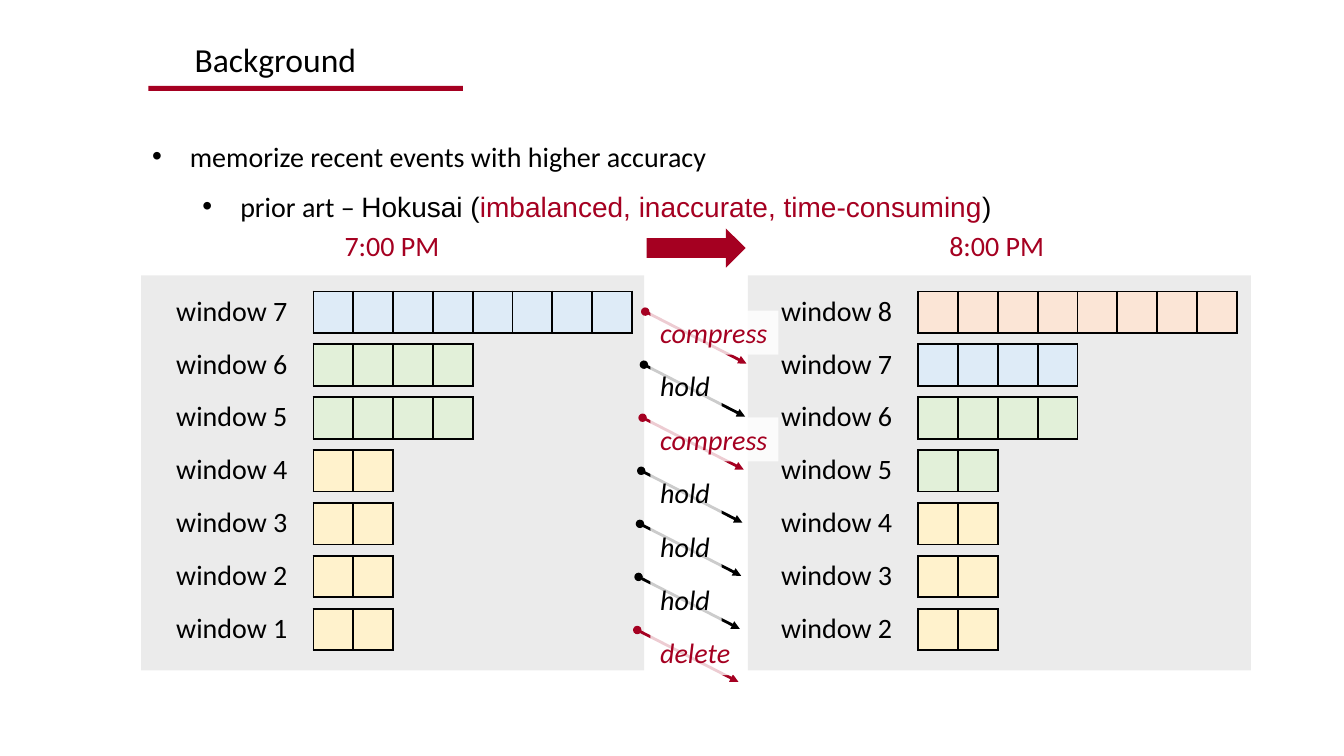
from lxml import etree
from pptx import Presentation
from pptx.dml.color import RGBColor
from pptx.enum.shapes import MSO_CONNECTOR, MSO_SHAPE
from pptx.enum.text import MSO_ANCHOR, MSO_AUTO_SIZE, PP_ALIGN
from pptx.oxml.ns import qn
from pptx.util import Pt

RECT, RIGHT_ARROW = MSO_SHAPE.RECTANGLE, MSO_SHAPE.RIGHT_ARROW
STRAIGHT = MSO_CONNECTOR.STRAIGHT
TOP, MIDDLE = MSO_ANCHOR.TOP, MSO_ANCHOR.MIDDLE
NO_FIT, FIT_SHAPE = MSO_AUTO_SIZE.NONE, MSO_AUTO_SIZE.SHAPE_TO_FIT_TEXT
LEFT, JUSTIFY = PP_ALIGN.LEFT, PP_ALIGN.JUSTIFY

COLORS = {
    "black": "000000", "white": "FFFFFF", "red": "A50021", "panel": "BFBFBF",
    "blue": "DEEBF7", "green": "E2F0D9", "yellow": "FFF2CC", "orange": "FBE5D6",
}
CELL_W, CELL_H = 28.44, 29.5
ROW_PITCH, ARROW_PITCH, ACTION_PITCH = 37.8, 37.9, 38.15
LABEL_H = 31.5
CELL_COUNTS = [8, 4, 4, 2, 2, 2, 2]
PANELS = [
    (100.8, 118.8, 7, "7:00 PM",
     ["blue", "green", "green", "yellow", "yellow", "yellow", "yellow"]),
    (534.2, 550.8, 8, "8:00 PM",
     ["orange", "blue", "green", "green", "yellow", "yellow", "yellow"]),
]
ACTIONS = ["compress", "hold", "compress", "hold", "hold", "hold", "delete"]
ACTION_STYLES = {"compress": (91.5, "red"), "hold": (51, "black"),
                 "delete": (64.8, "red")}


def rgb(name):
    return RGBColor.from_string(COLORS[name])


def box(*lengths):
    return [Pt(v) for v in lengths]


def add_run(p, text, color="black", size=20, font="Calibri", italic=False):
    r = p.add_run()
    r.text = text
    r.font.name = font
    r.font.size = Pt(size)
    r.font.italic = italic
    r.font.color.rgb = rgb(color)


def add_block(s, kind, x, y, w, h, color, opacity=100):
    sp = s.shapes.add_shape(kind, *box(x, y, w, h))
    sp.shadow.inherit = False
    sp.fill.solid()
    sp.fill.fore_color.rgb = rgb(color)
    if opacity < 100:
        clr = sp._element.spPr.find(qn("a:solidFill")).find(qn("a:srgbClr"))
        etree.SubElement(clr, qn("a:alpha")).set("val", str(opacity * 1000))
    sp.line.fill.background()
    return sp


def set_label(sp, text, color="black", italic=False):
    tf = sp.text_frame
    tf.word_wrap = False
    tf.auto_size = FIT_SHAPE
    tf.vertical_anchor = TOP
    p = tf.paragraphs[0]
    p.alignment = LEFT
    add_run(p, text, color, italic=italic)


def add_label(s, x, y, w, text, color="black"):
    set_label(s.shapes.add_textbox(*box(x, y, w, LABEL_H)), text, color)


def add_title(s, text):
    sp = s.shapes.title
    sp.left, sp.top, sp.width, sp.height = box(131.8, 24.5, 517, 36)
    tf = sp.text_frame
    tf.auto_size = NO_FIT
    tf.vertical_anchor = MIDDLE
    p = tf.paragraphs[0]
    p.alignment = LEFT
    add_run(p, text, size=24)


def add_bullet(p, level, indent, runs):
    p.level = level
    p.alignment = JUSTIFY
    p.space_after = Pt(12)
    pPr = p._p.get_or_add_pPr()
    pPr.set("marL", str(Pt(indent)))
    pPr.set("indent", str(Pt(-27)))
    etree.SubElement(pPr, qn("a:buFont")).set("typeface", "Arial")
    etree.SubElement(pPr, qn("a:buChar")).set("char", "•")
    for text, color, font in runs:
        add_run(p, text, color, font=font)


def add_bullets(s):
    tf = s.shapes.add_textbox(*box(65.5, 95.8, 779, 67.7)).text_frame
    tf.word_wrap = True
    add_bullet(tf.paragraphs[0], 1, 63, [
        ("memorize recent events with higher accuracy", "black", "Calibri")])
    add_bullet(tf.add_paragraph(), 2, 99, [
        ("prior art – ", "black", "Calibri"),
        ("Hokusai (", "black", "Arial"),
        ("imbalanced, inaccurate, time-consuming", "red", "Arial"),
        (")", "black", "Arial")])


def add_cell_borders(cell):
    tcPr = cell._tc.get_or_add_tcPr()
    for side in ("lnL", "lnR", "lnT", "lnB"):
        ln = etree.SubElement(tcPr, qn(f"a:{side}"), w=str(Pt(1.5)))
        fill = etree.SubElement(ln, qn("a:solidFill"))
        etree.SubElement(fill, qn("a:srgbClr")).set("val", COLORS["black"])


def add_cells(s, x, y, count, color):
    frame = s.shapes.add_table(1, count, *box(x, y, count * CELL_W, CELL_H))
    table = frame.table
    table.first_row = False
    table.horz_banding = False
    for column in table.columns:
        column.width = Pt(CELL_W)
    for cell in table.iter_cells():
        add_cell_borders(cell)
        cell.fill.solid()
        cell.fill.fore_color.rgb = rgb(color)


def add_panel(s, panel_x, label_x, first_window, time, colors):
    add_block(s, RECT, panel_x, 196.6, 359.3, 282.2, "panel", 30)
    add_label(s, label_x + 120.2, 160, 82.8, time, "red")
    for i, (count, color) in enumerate(zip(CELL_COUNTS, colors)):
        add_label(s, label_x, 205.8 + i * ROW_PITCH, 94.3,
                  f"window {first_window - i}")
        add_cells(s, label_x + 105.1, 208.2 + i * ROW_PITCH, count, color)


def add_arrow(s, x, y, color):
    line = s.shapes.add_connector(STRAIGHT, *box(x, y, x + 72.3, y + 37.1))
    line.line.color.rgb = rgb(color)
    line.line.width = Pt(2)
    ln = line.line._get_or_add_ln()
    etree.SubElement(ln, qn("a:headEnd")).set("type", "oval")
    etree.SubElement(ln, qn("a:tailEnd")).set("type", "triangle")
    etree.SubElement(line._element.spPr, qn("a:effectLst"))


def add_actions(s):
    for i, action in enumerate(ACTIONS):
        color = ACTION_STYLES[action][1]
        add_arrow(s, 460.9 - i * 0.95, 222.6 + i * ARROW_PITCH, color)
    for i, action in enumerate(ACTIONS):
        width, color = ACTION_STYLES[action]
        sp = add_block(s, RECT, 464.5, 221.8 + i * ACTION_PITCH,
                       width, LABEL_H, "white", 80)
        set_label(sp, action, color, italic=True)


def main():
    prs = Presentation()
    prs.slide_width, prs.slide_height = Pt(960), Pt(540)
    s = prs.slides.add_slide(prs.slide_layouts[5])
    add_title(s, "Background")
    add_block(s, RECT, 106, 61.4, 224.6, 3.6, "red")
    add_bullets(s)
    for panel in PANELS:
        add_panel(s, *panel)
    add_block(s, RIGHT_ARROW, 461.9, 163.1, 70.6, 28.1, "red")
    add_actions(s)
    prs.save("out.pptx")


if __name__ == "__main__":
    main()
